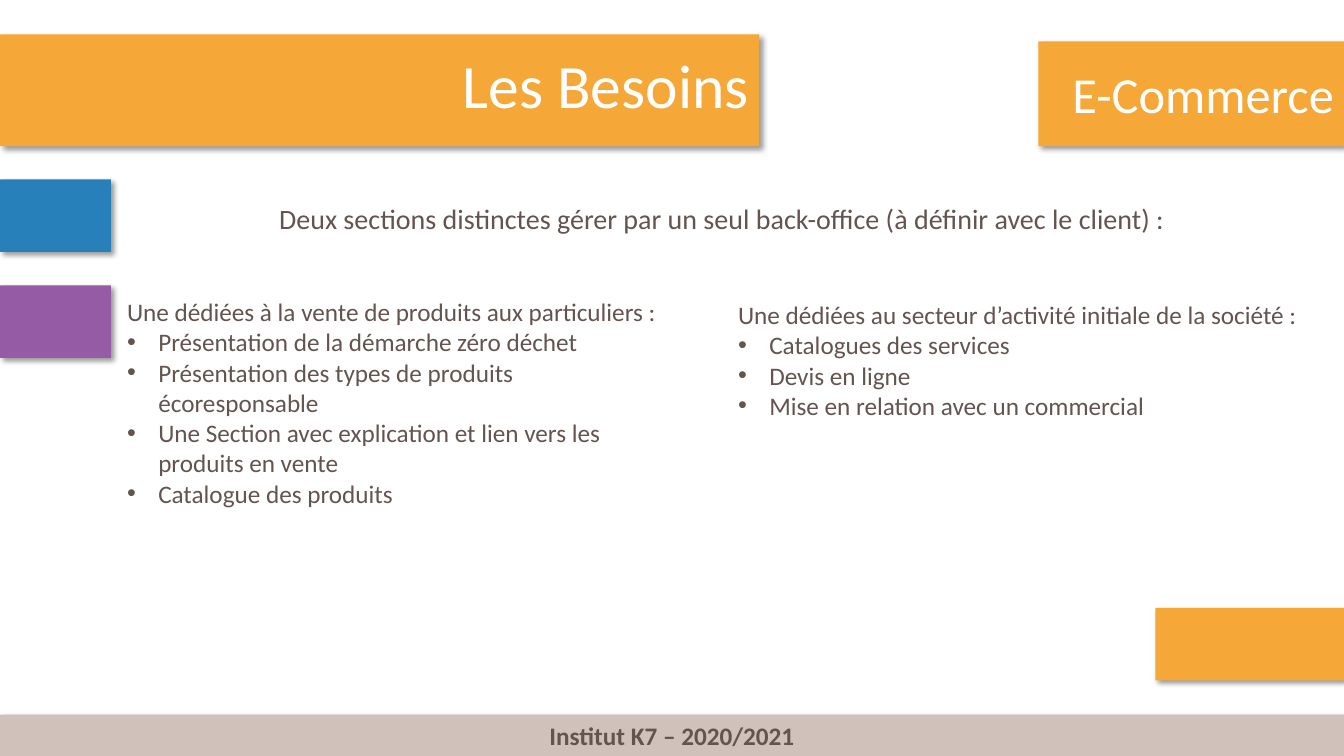
from lxml.etree import SubElement
from pptx import Presentation
from pptx.dml.color import RGBColor
from pptx.enum.shapes import MSO_SHAPE
from pptx.enum.text import MSO_ANCHOR, MSO_AUTO_SIZE, PP_ALIGN
from pptx.oxml.ns import qn
from pptx.util import Inches, Pt

ORANGE = RGBColor(0xF5, 0xA8, 0x38)
BLUE = RGBColor(0x28, 0x80, 0xBA)
PURPLE = RGBColor(0x95, 0x5B, 0xA5)
BEIGE = RGBColor(0xD0, 0xC2, 0xBA)
BROWN = RGBColor(0x63, 0x54, 0x4F)
WHITE = RGBColor(0xFF, 0xFF, 0xFF)


class NeedsSlide:
    font_name = "Calibri"
    bullet_indent = Inches(0.31)

    def __init__(self, presentation):
        self.slide = presentation.slides.add_slide(presentation.slide_layouts[3])

    def place(self, shape, left, top, width, height):
        shape.left, shape.top = Inches(left), Inches(top)
        shape.width, shape.height = Inches(width), Inches(height)

    def format_paragraph(self, paragraph, size, color, alignment, bold=False):
        paragraph.alignment = alignment
        for run in paragraph.runs:
            run.font.name = self.font_name
            run.font.size = Pt(size)
            run.font.color.rgb = color
            run.font.bold = bold

    def add_shadow(self, shape):
        shape.shadow.inherit = False
        effects = shape.element.spPr.find(qn("a:effectLst"))
        shadow = SubElement(
            effects, qn("a:outerShdw"), blurRad=str(Pt(4)), dist=str(Pt(3)),
            dir=str(45 * 60000), algn="tl", rotWithShape="0")
        color = SubElement(shadow, qn("a:srgbClr"), val="000000")
        SubElement(color, qn("a:alpha"), val="40000")

    def add_block(self, left, top, width, height, fill, text="", size=18,
                  color=WHITE, alignment=PP_ALIGN.RIGHT, bold=False):
        shape = self.slide.shapes.add_shape(
            MSO_SHAPE.RECTANGLE, Inches(left), Inches(top), Inches(width), Inches(height))
        shape.fill.solid()
        shape.fill.fore_color.rgb = fill
        shape.line.fill.background()
        self.add_shadow(shape)
        if text:
            shape.text_frame.text = text
            shape.text_frame.vertical_anchor = MSO_ANCHOR.MIDDLE
            self.format_paragraph(shape.text_frame.paragraphs[0], size, color, alignment, bold)

    def set_title(self, text, left, top, width, height):
        title = self.slide.shapes.title
        self.place(title, left, top, width, height)
        title.text_frame.text = text
        title.text_frame.vertical_anchor = MSO_ANCHOR.MIDDLE
        paragraph = title.text_frame.paragraphs[0]
        paragraph.line_spacing = 0.9
        self.format_paragraph(paragraph, 44, WHITE, PP_ALIGN.RIGHT)
        title.element.getparent().append(title.element)

    def add_text(self, text, left, top, width, height):
        box = self.slide.shapes.add_textbox(
            Inches(left), Inches(top), Inches(width), Inches(height))
        box.text_frame.word_wrap = True
        box.text_frame.auto_size = MSO_AUTO_SIZE.SHAPE_TO_FIT_TEXT
        box.text_frame.text = text
        self.format_paragraph(box.text_frame.paragraphs[0], 20, BROWN, PP_ALIGN.LEFT)

    def set_list(self, index, heading, items, left, top, width, height):
        body = self.slide.placeholders[index]
        self.place(body, left, top, width, height)
        frame = body.text_frame
        frame.text = "\n".join([heading, *items])
        frame.auto_size = MSO_AUTO_SIZE.SHAPE_TO_FIT_TEXT
        for position, paragraph in enumerate(frame.paragraphs):
            paragraph.space_before = Pt(0)
            self.format_paragraph(paragraph, 18, BROWN, PP_ALIGN.LEFT)
            self.set_bullet(paragraph, position > 0)

    def set_bullet(self, paragraph, bulleted):
        properties = paragraph.element.get_or_add_pPr() if hasattr(
            paragraph, "element") else paragraph._p.get_or_add_pPr()
        indent = self.bullet_indent if bulleted else 0
        properties.set("marL", str(indent))
        properties.set("indent", str(-indent))
        if bulleted:
            SubElement(properties, qn("a:buFont"), typeface="Arial")
            SubElement(properties, qn("a:buChar"), char="•")
        else:
            SubElement(properties, qn("a:buNone"))


def main():
    presentation = Presentation()
    presentation.slide_width = Inches(13.33)
    presentation.slide_height = Inches(7.5)
    needs = NeedsSlide(presentation)

    needs.add_block(0, 0.34, 7.53, 1.11, ORANGE)
    needs.set_title("Les Besoins", 0, 0.37, 7.53, 1.01)
    needs.add_block(0, 7.09, 13.33, 0.41, BEIGE, "Institut K7 – 2020/2021",
                    color=BROWN, alignment=PP_ALIGN.CENTER, bold=True)
    needs.add_block(0, 1.78, 1.1, 0.72, BLUE)
    needs.add_block(0, 2.83, 1.1, 0.72, PURPLE)
    needs.add_block(11.46, 6.03, 1.87, 0.72, ORANGE)
    needs.add_block(10.3, 0.41, 3.03, 1.04, ORANGE, "E-Commerce", size=36)
    needs.add_text(
        "Deux sections distinctes gérer par un seul back-office (à définir avec le client) :",
        2.67, 1.95, 9.27, 0.44)
    needs.set_list(1, "Une dédiées à la vente de produits aux particuliers :", [
        "Présentation de la démarche zéro déchet",
        "Présentation des types de produits écoresponsable",
        "Une Section avec explication et lien vers les produits en vente",
        "Catalogue des produits",
    ], 1.16, 2.89, 5.63, 2.52)
    needs.set_list(2, "Une dédiées au secteur d’activité initiale de la société :", [
        "Catalogues des services",
        "Devis en ligne",
        "Mise en relation avec un commercial",
    ], 7.22, 2.92, 5.83, 1.32)

    presentation.save("out.pptx")


if __name__ == "__main__":
    main()
